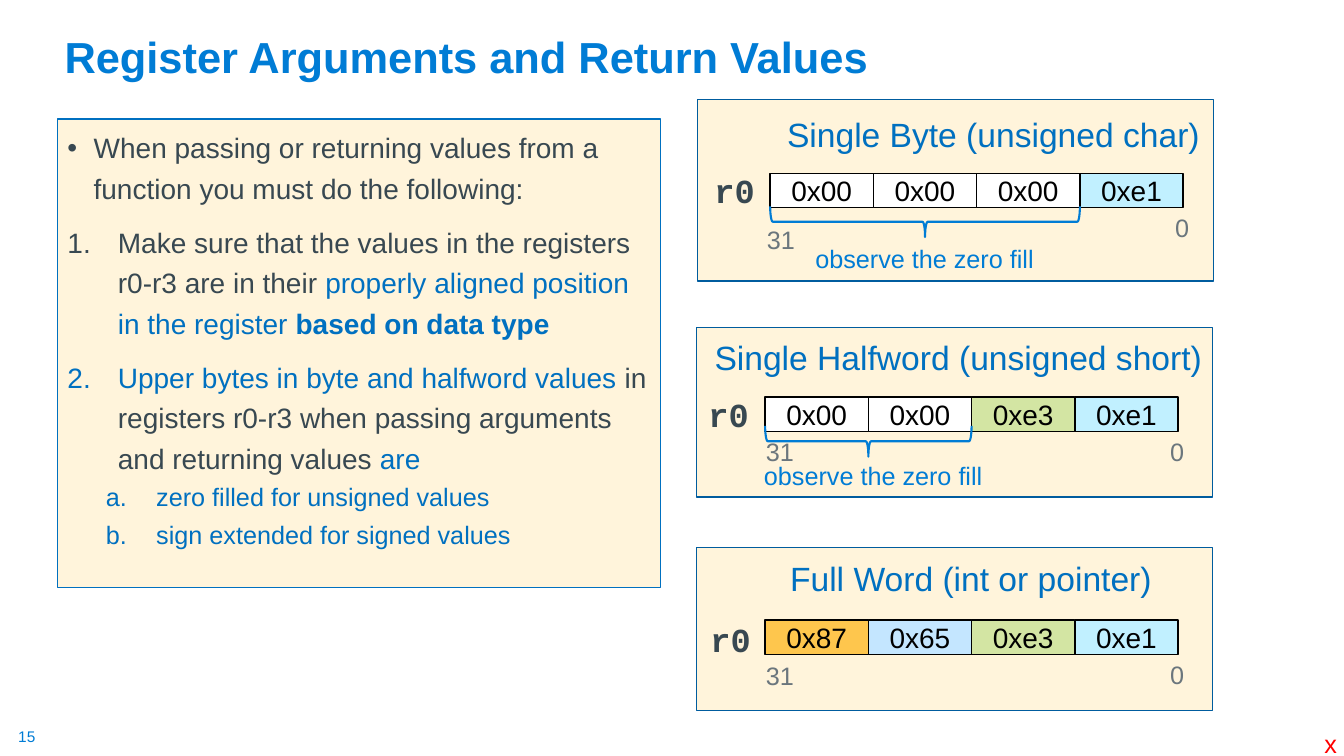
import pptx
import pptx.util
import pptx.dml.color
import pptx.enum.shapes
import pptx.enum.text
import pptx.oxml.ns
import lxml.etree

Pt = pptx.util.Pt
SHAPE = pptx.enum.shapes.MSO_SHAPE
ALIGN = pptx.enum.text.PP_ALIGN
ANCHOR = pptx.enum.text.MSO_ANCHOR
AUTO_SIZE = pptx.enum.text.MSO_AUTO_SIZE

COLORS = {
    "accent": "007CD5", "blue": "0070C0", "frame": "005C9E", "cream": "FFF4DB",
    "text": "384851", "gray": "6B767D", "black": "000000", "red": "FF0000",
    "white": "FFFFFF", "cyan": "C1F0FF", "green": "92D050",
    "orange": "FEC64D", "sky": "C4E6FF",
}
ALPHA = {"green": 40}
CELL_W, CELL_H = 73.75, 24.6


def rgb(name):
    return pptx.dml.color.RGBColor.from_string(COLORS[name])


def add_xml(parent, tag, **attrs):
    el = lxml.etree.SubElement(parent, pptx.oxml.ns.qn(tag))
    for key, value in attrs.items():
        el.set(key, str(value))
    return el


def place(sp, x, y, w, h):
    sp.left, sp.top, sp.width, sp.height = Pt(x), Pt(y), Pt(w), Pt(h)


def style_font(font, size, color, bold=False, name="Arial"):
    font.size, font.bold, font.name = Pt(size), bold, name
    font.color.rgb = rgb(color)


def add_box(slide, kind, x, y, w, h, fill, line, weight=1):
    sp = slide.shapes.add_shape(kind, Pt(x), Pt(y), Pt(w), Pt(h))
    sp.shadow.inherit = False
    if fill:
        sp.fill.solid()
        sp.fill.fore_color.rgb = rgb(fill)
        if fill in ALPHA:
            clr = sp.fill._xPr.find(".//" + pptx.oxml.ns.qn("a:srgbClr"))
            add_xml(clr, "a:alpha", val=ALPHA[fill] * 1000)
    else:
        sp.fill.background()
    sp.line.color.rgb = rgb(line)
    sp.line.width = Pt(weight)
    return sp


def add_label(slide, text, x, y, w, h, size, color, bold=False, name="Arial"):
    sp = slide.shapes.add_textbox(Pt(x), Pt(y), Pt(w), Pt(h))
    tf = sp.text_frame
    tf.word_wrap = False
    tf.auto_size = AUTO_SIZE.SHAPE_TO_FIT_TEXT
    p = tf.paragraphs[0]
    p.text = text
    style_font(p.font, size, color, bold, name)
    return sp


def add_title(slide, box):
    sp = slide.shapes.title
    place(sp, *box)
    tf = sp.text_frame
    tf.auto_size = AUTO_SIZE.NONE
    tf.vertical_anchor = ANCHOR.BOTTOM
    p = tf.paragraphs[0]
    p.text = "Register Arguments and Return Values"
    p.alignment = ALIGN.LEFT
    p.line_spacing = 0.9
    style_font(p.font, 31, "accent", True)


def add_rules(slide, box):
    """Fill the body placeholder with the rules for passing values."""
    sp = slide.placeholders[1]
    place(sp, *box)
    sp.fill.solid()
    sp.fill.fore_color.rgb = rgb("cream")
    sp.line.color.rgb = rgb("blue")
    sp.line.width = Pt(0.75)
    tf = sp.text_frame
    tf.auto_size = AUTO_SIZE.NONE

    # level, bullet, left margin, hanging indent, runs of (text, color, bold)
    rules = [
        (0, "•", 18.7, 18.7, [
            ("When passing or returning values from a function you must do the following:",
             "text", False)]),
        (0, "arabicPeriod", 36, 36, [
            ("Make sure that the values in the registers r0-r3 are in their ", "text", False),
            ("properly aligned position in the register ", "blue", False),
            ("based on data type", "blue", True)]),
        (0, "arabicPeriod", 36, 36, [
            ("Upper bytes in byte and halfword values", "blue", False),
            (" in registers r0-r3 when passing arguments and returning values ", "text", False),
            ("are", "blue", False)]),
        (1, "alphaLcPeriod", 63.4, 36, [("zero filled for unsigned values", "blue", False)]),
        (1, "alphaLcPeriod", 63.4, 36, [("sign extended for signed values", "blue", False)]),
    ]
    for i, (level, bullet, margin, hang, runs) in enumerate(rules):
        p = tf.paragraphs[0] if i == 0 else tf.add_paragraph()
        p.level = level
        p.line_spacing = 1.0 if level else 1.2
        p.space_before = Pt(0 if i == 0 else 5 if level else 10)
        pPr = p._p.get_or_add_pPr()
        pPr.set("marL", str(int(Pt(margin))))
        pPr.set("indent", str(-int(Pt(hang))))
        if bullet == "•":
            add_xml(pPr, "a:buFont", typeface="Arial")
            add_xml(pPr, "a:buChar", char=bullet)
        else:
            add_xml(pPr, "a:buFont", typeface="+mj-lt")
            add_xml(pPr, "a:buAutoNum", type=bullet)
        size = 18 if level else 20
        if len(runs) == 1:
            p.text = runs[0][0]
            style_font(p.font, size, *runs[0][1:])
        else:
            for text, color, bold in runs:
                r = p.add_run()
                r.text = text
                style_font(r.font, size, color, bold)


def add_register(slide, box, heading, heading_at, name_at, bar_at, cells, low_y):
    """Draw a framed register; every position is an offset from the box."""
    x, y, w, h = box
    add_box(slide, SHAPE.RECTANGLE, x, y, w, h, "cream", "frame")
    bar_x, bar_y = x + bar_at[0], y + bar_at[1]
    for i, (value, fill) in enumerate(cells):
        sp = add_box(slide, SHAPE.RECTANGLE, bar_x + i * CELL_W, bar_y,
                     CELL_W, CELL_H, fill, "black")
        tf = sp.text_frame
        tf.vertical_anchor = ANCHOR.MIDDLE
        p = tf.paragraphs[0]
        p.text = value
        p.alignment = ALIGN.CENTER
        style_font(p.font, 20, "black")
    below = bar_y + CELL_H
    add_label(slide, "0", bar_x + 282.2, below, 24.5, 29, 18, "gray")
    add_label(slide, "31", x + 42.5, below + low_y, 34.5, 29, 18, "gray")
    add_label(slide, "r0", x + name_at[0], y + name_at[1], 44, 36, 24, "text", True, "Courier New")
    add_label(slide, heading, x + heading_at[0], y + heading_at[1], heading_at[2], 36, 24, "blue")


def add_zero_fill(slide, x, y, count, note_dx, note_dy):
    """Brace under the first count cells, with its note; x, y is its top left corner."""
    w, h = count * CELL_W, 22
    sp = add_box(slide, SHAPE.RIGHT_BRACE, x + (w - h) / 2, y + (h - w) / 2,
                 h, w, None, "accent", 1.5)
    sp.rotation = 90
    add_label(slide, "observe the zero fill", x + note_dx, y + note_dy, 178, 29, 18, "accent")


def main():
    prs = pptx.Presentation()
    prs.slide_width, prs.slide_height = Pt(960), Pt(540)
    slide = prs.slides.add_slide(prs.slide_layouts[1])
    add_title(slide, (38.9, 6.5, 828, 56.2))
    add_rules(slide, (41, 85, 430.6, 334.8))

    zero, e1, e3 = ("0x00", "white"), ("0xe1", "cyan"), ("0xe3", "green")
    add_register(slide, (498.2, 71.3, 368.6, 129.6), "Single Byte (unsigned char)",
                 (56.9, 6.5, 312.5), (5.1, 46.8), (51.9, 52.5), [zero, zero, zero, e1], 8.6)
    add_register(slide, (497.5, 234, 368.6, 121), "Single Halfword (unsigned short)",
                 (5.8, 2.9, 366.5), (1.5, 43.9), (49, 49.7), [zero, zero, e3, e1], 0)
    add_register(slide, (497.5, 391, 368.6, 116.6), "Full Word (int or pointer)",
                 (59.8, 4.3, 275.8), (2.9, 47.5), (49, 51.8),
                 [("0x87", "orange"), ("0x65", "sky"), e3, e1], 0.4)
    add_zero_fill(slide, 550.1, 147.4, 3, 25.2, 22.5)
    add_zero_fill(slide, 546.5, 304.2, 2, -7.9, 21.2)

    number = add_label(slide, "15", 13, 519.1, 13.7, 13.7, 11, "accent")
    tf = number.text_frame
    tf.margin_left = tf.margin_right = tf.margin_top = tf.margin_bottom = 0
    add_label(slide, "x", 938.9, 517, 23.8, 29, 18, "red")
    prs.save("out.pptx")


if __name__ == "__main__":
    main()
